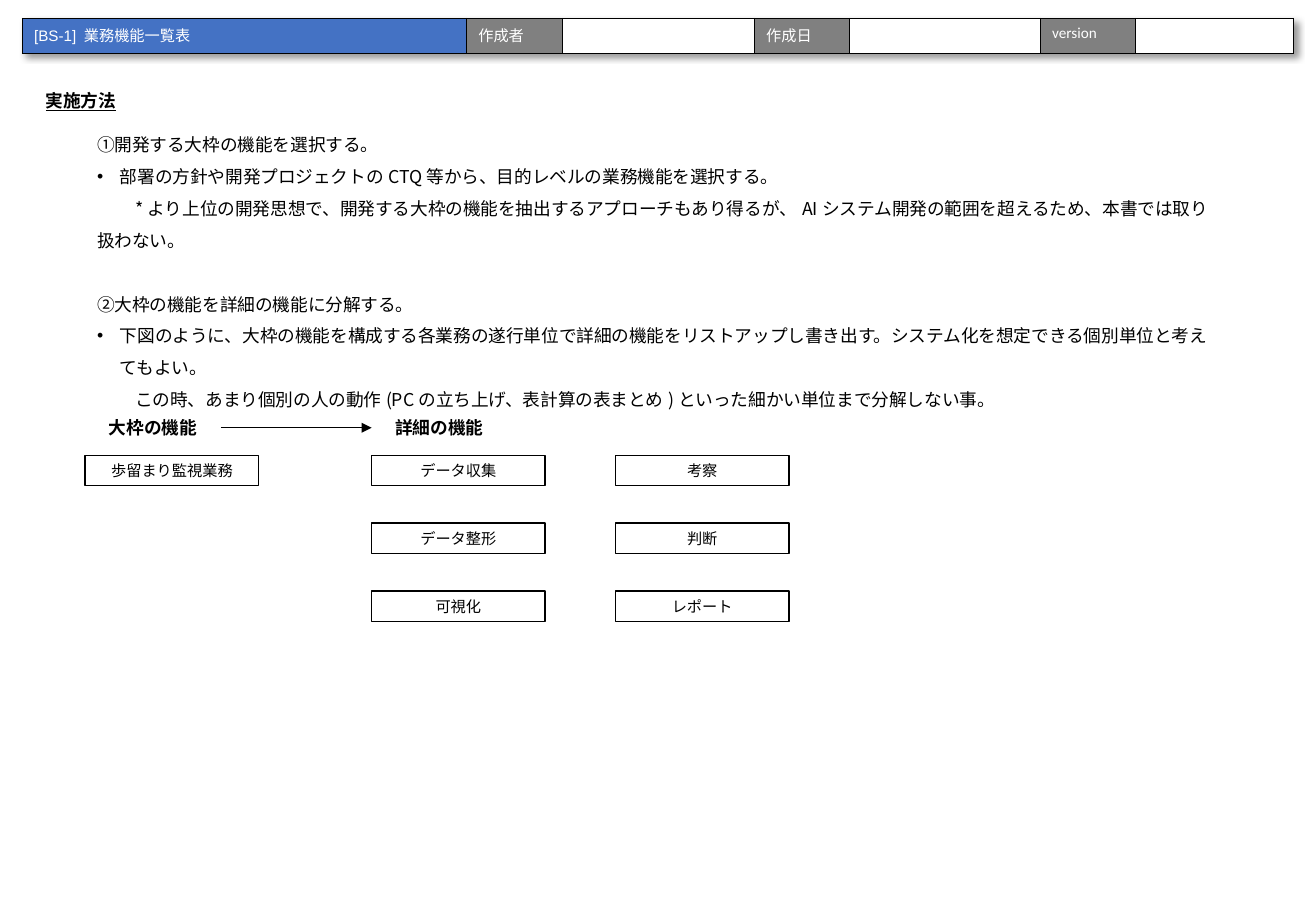
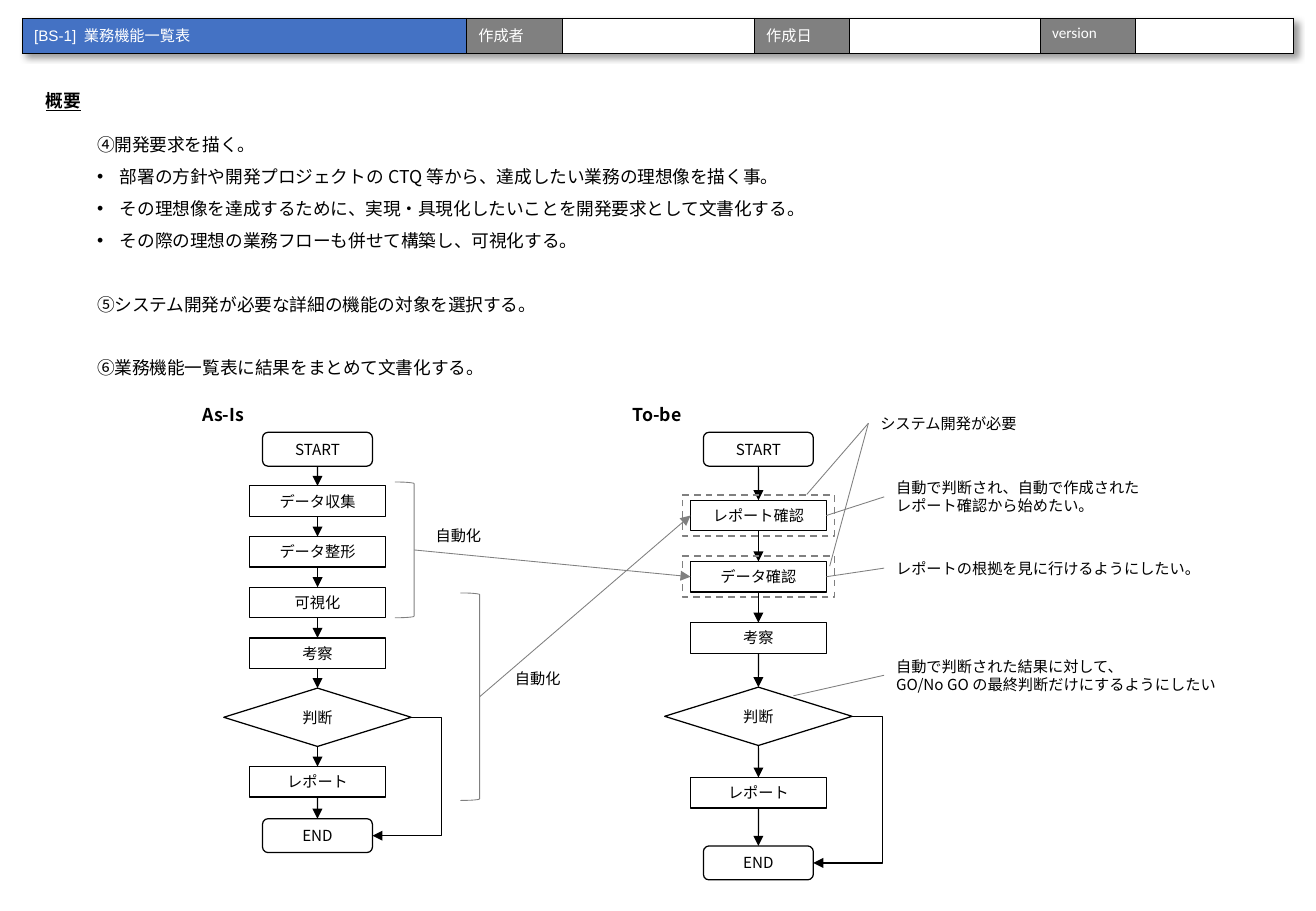
"""Build the two guide slides for the business function list."""
from dataclasses import dataclass
from typing import NamedTuple

from lxml.etree import SubElement
from pptx import Presentation
from pptx.dml.color import RGBColor
from pptx.enum.dml import MSO_LINE as Dash
from pptx.enum.shapes import MSO_CONNECTOR as Wire, MSO_SHAPE as Form
from pptx.enum.text import MSO_ANCHOR as Anchor, PP_ALIGN as Align
from pptx.oxml.ns import qn
from pptx.util import Cm, Pt

FONT = "Noto Sans CJK JP"
BLACK, WHITE, GRAY, BLUE = "000000", "FFFFFF", "808080", "4472C4"
BODY, SMALL = 10.5, 9
BAR_H, BOX_H, HEAD_H = 0.73, 0.64, 0.71
BOX_W, CARD_W = 2.84, 3.63


class Para(NamedTuple):
    text: str
    bullet: bool = False
    indent: float = 0
    gap: float = 0


class Cell(NamedTuple):
    text: str
    width: float
    fill: str
    font: str = "Calibri"


class Join(NamedTuple):
    shape: object
    side: int


class Point(NamedTuple):
    x: float
    y: float


class Kind(NamedTuple):
    form: Form
    width: float
    height: float
    fill: str | None = None


@dataclass
class Step:
    text: str
    top: float
    kind: Kind


@dataclass
class Note:
    text: str
    left: float
    top: float
    width: float
    height: float = BOX_H


RECT = Kind(Form.RECTANGLE, BOX_W, BOX_H)
ROUND = Kind(Form.ROUNDED_RECTANGLE, 2.3, HEAD_H, WHITE)
CHOICE = Kind(Form.FLOWCHART_DECISION, 3.92, 1.22, WHITE)

BAR = [
    Cell("[BS-1] 業務機能一覧表", 9.29, BLUE, "Arial"),
    Cell("作成者", 2.01, GRAY),
    Cell("", 4.01, WHITE),
    Cell("作成日", 1.99, GRAY),
    Cell("", 3.99, WHITE),
    Cell("version", 1.99, GRAY),
    Cell("", 3.31, WHITE),
]
METHOD = [
    Para("①開発する大枠の機能を選択する。"),
    Para("部署の方針や開発プロジェクトのCTQ等から、目的レベルの業務機能を選択する。", bullet=True),
    Para("*より上位の開発思想で、開発する大枠の機能を抽出するアプローチもあり得るが、"
         "AIシステム開発の範囲を超えるため、本書では取り扱わない。", indent=0.8),
    Para("②大枠の機能を詳細の機能に分解する。", gap=18.9),
    Para("下図のように、大枠の機能を構成する各業務の遂行単位で詳細の機能をリストアップし書き出す。"
         "システム化を想定できる個別単位と考えてもよい。", bullet=True),
    Para("この時、あまり個別の人の動作(PCの立ち上げ、表計算の表まとめ)といった"
         "細かい単位まで分解しない事。", indent=0.8),
]
OUTLINE = [
    Para("④開発要求を描く。"),
    Para("部署の方針や開発プロジェクトのCTQ等から、達成したい業務の理想像を描く事。", bullet=True),
    Para("その理想像を達成するために、実現・具現化したいことを開発要求として文書化する。", bullet=True),
    Para("その際の理想の業務フローも併せて構築し、可視化する。", bullet=True),
    Para("⑤システム開発が必要な詳細の機能の対象を選択する。", gap=18.9),
    Para("⑥業務機能一覧表に結果をまとめて文書化する。", gap=18.9),
]
CARDS = [["データ収集", "データ整形", "可視化"], ["考察", "判断", "レポート"]]
AS_IS = [
    Step("START", 9.04, ROUND),
    *(Step(text, 10.16 + 1.06 * row, RECT)
      for row, text in enumerate(["データ収集", "データ整形", "可視化", "考察"])),
    Step("判断", 14.39, CHOICE),
    Step("レポート", 16.03, RECT),
    Step("END", 17.12, ROUND),
]
TO_BE = [
    Step("START", 9.04, ROUND),
    *(Step(text, 10.46 + 1.28 * row, RECT)
      for row, text in enumerate(["レポート確認", "データ確認", "考察"])),
    Step("判断", 14.37, CHOICE),
    Step("レポート", 16.26, RECT),
    Step("END", 17.69, ROUND),
]
AUTO = [Note("自動化", 10.52, 13.87, 2.06), Note("自動化", 8.86, 10.87, 2.06)]
WISHES = [
    Note("自動で判断され、自動で作成された\nレポート確認から始めたい。", 18.49, 9.88, 6.78, 1.02),
    Note("レポートの根拠を見に行けるようにしたい。", 18.49, 11.56, 6.78),
    Note("自動で判断された結果に対して、\nGO/No GOの最終判断だけにするようにしたい", 18.49, 13.61, 7.87, 1.02),
]
NEED = Note("システム開発が必要", 18.16, 8.53, 3.56)


def tint(code: str) -> RGBColor:
    return RGBColor.from_string(code)


def write(frame, text: str | list[Para], *, size: float = SMALL, color: str = BLACK,
          font: str = FONT, bold: bool = False, under: bool = False,
          align: Align = Align.LEFT, pitch: float | None = None) -> None:
    paras = [Para(line) for line in text.split("\n")] if isinstance(text, str) else text
    for index, item in enumerate(paras):
        par = frame.add_paragraph() if index else frame.paragraphs[0]
        par.alignment = align
        if pitch:
            par.line_spacing = Pt(pitch)
        if item.gap:
            par.space_before = Pt(item.gap)
        props = par._p.get_or_add_pPr()
        if item.bullet:
            props.set("marL", str(Cm(0.48)))
            props.set("indent", str(-Cm(0.48)))
            SubElement(props, qn("a:buFont"), typeface="Arial")
            SubElement(props, qn("a:buChar"), char="•")
        elif item.indent:
            props.set("indent", str(Cm(item.indent)))
        if not item.text:
            SubElement(par._p, qn("a:endParaRPr"), sz=str(int(size * 100)))
            continue
        run = par.add_run()
        run.text = item.text
        run.font.size, run.font.name = Pt(size), font
        run.font.bold, run.font.underline = bold, under
        run.font.color.rgb = tint(color)
        SubElement(run._r.get_or_add_rPr(), qn("a:ea"), typeface=FONT)


def label(slide, text: str | list[Para], left: float, top: float, width: float,
          height: float, *, wrap: bool = True, anchor: Anchor = Anchor.MIDDLE, **form):
    box = slide.shapes.add_textbox(Cm(left), Cm(top), Cm(width), Cm(height))
    frame = box.text_frame
    frame.word_wrap, frame.vertical_anchor = wrap, anchor
    if anchor == Anchor.MIDDLE:
        frame.margin_top = frame.margin_bottom = 0
    write(frame, text, **form)
    return box


def memo(slide, note: Note):
    return label(slide, note.text, note.left, note.top, note.width, note.height, pitch=10.8)


def block(slide, kind: Kind, left: float, top: float, text: str = "", *,
          color: str = BLACK, weight: float = 0.75, dash: Dash | None = None):
    shape = slide.shapes.add_shape(kind.form, Cm(left), Cm(top), Cm(kind.width), Cm(kind.height))
    shape.shadow.inherit = False
    if kind.fill:
        shape.fill.solid()
        shape.fill.fore_color.rgb = tint(kind.fill)
    else:
        shape.fill.background()
    shape.line.color.rgb, shape.line.width = tint(color), Pt(weight)
    if dash:
        shape.line.dash_style = dash
    if text:
        frame = shape.text_frame
        frame.margin_top = frame.margin_bottom = 0
        frame.vertical_anchor = Anchor.MIDDLE
        write(frame, text, align=Align.CENTER)
    return shape


def link(slide, start: Join | Point, end: Join | Point, *, color: str = BLACK,
         weight: float = 0.75, tip: bool = True, bend: float | None = None) -> None:
    ends = [Cm(n) for spot in (start, end) for n in (spot if isinstance(spot, Point) else (0, 0))]
    wire = slide.shapes.add_connector(Wire.STRAIGHT if bend is None else Wire.ELBOW, *ends)
    if isinstance(start, Join):
        wire.begin_connect(*start)
    if isinstance(end, Join):
        wire.end_connect(*end)
    wire.line.color.rgb, wire.line.width = tint(color), Pt(weight)
    props = wire._element.spPr
    if tip:
        SubElement(props.find(qn("a:ln")), qn("a:tailEnd"), type="triangle")
    if bend is not None:
        guides = props.find(qn("a:prstGeom")).find(qn("a:avLst"))
        SubElement(guides, qn("a:gd"), name="adj1", fmla=f"val {round(bend * 100000)}")
    SubElement(props, qn("a:effectLst"))


def banner(slide) -> None:
    total = sum(cell.width for cell in BAR)
    table = slide.shapes.add_table(1, len(BAR), Cm(0.46), Cm(0.38), Cm(total), Cm(BAR_H)).table
    table.first_row = table.horz_banding = False
    effect = SubElement(table._tbl.tblPr, qn("a:effectLst"))
    table._tbl.tblPr.insert(0, effect)
    shade = SubElement(effect, qn("a:outerShdw"), blurRad="50800", dist="38100",
                       dir="2700000", algn="tl", rotWithShape="0")
    ink = SubElement(shade, qn("a:prstClr"), val="black")
    SubElement(ink, qn("a:alpha"), val="40000")
    for index, item in enumerate(BAR):
        table.columns[index].width = Cm(item.width)
        cell = table.cell(0, index)
        for side in ("lnL", "lnR", "lnT", "lnB"):
            edge = SubElement(cell._tc.get_or_add_tcPr(), qn(f"a:{side}"), w=str(Pt(0.25)))
            SubElement(SubElement(edge, qn("a:solidFill")), qn("a:srgbClr"), val=BLACK)
        cell.fill.solid()
        cell.fill.fore_color.rgb = tint(item.fill)
        write(cell.text_frame, item.text, color=WHITE, font=item.font)


def page(deck, title: str, width: float, body: list[Para], height: float):
    slide = deck.slides.add_slide(deck.slide_layouts[6])
    banner(slide)
    label(slide, body, 1.78, 2.46, 24, height, anchor=Anchor.TOP, size=BODY, pitch=18.9)
    label(slide, title, 0.71, 1.75, width, HEAD_H, wrap=False, size=BODY, bold=True, under=True)
    return slide


def head(slide, text: str, left: float, top: float):
    return label(slide, text, left, top, BOX_W, HEAD_H, size=BODY, bold=True, align=Align.CENTER)


def flow(slide, steps: list[Step], mid: float) -> list:
    nodes = [block(slide, step.kind, mid - step.kind.width / 2, step.top, step.text)
             for step in steps]
    for upper, lower in zip(nodes, nodes[1:]):
        link(slide, Join(upper, 2), Join(lower, 0))
    link(slide, Join(nodes[-3], 3), Join(nodes[-1], 3), bend=-0.79)
    return nodes


def split(deck) -> None:
    slide = page(deck, "実施方法", 2, METHOD, 4.88)
    heads = [head(slide, text, left, 8.59)
             for text, left in (("大枠の機能", 1.78), ("詳細の機能", 7.77))]
    link(slide, Join(heads[0], 3), Join(heads[1], 1), weight=0.5)
    card = Kind(Form.RECTANGLE, CARD_W, BOX_H)
    block(slide, card, 1.78, 9.52, "歩留まり監視業務")
    for col, texts in enumerate(CARDS):
        for row, text in enumerate(texts):
            block(slide, card, 7.77 + 5.1 * col, 9.52 + 1.42 * row, text)


def compare(deck) -> None:
    slide = page(deck, "概要", 1.27, OUTLINE, 5.54)
    head(slide, "As-Is", 3.25, 8.31)
    head(slide, "To-be", 12.32, 8.31)
    flow(slide, AS_IS, 6.64)
    nodes = flow(slide, TO_BE, 15.86)
    thin = {"color": GRAY, "weight": 0.5}
    for left, top, tall, goal in ((9.63, 12.4, 4.34, nodes[1]), (8.26, 10.08, 2.84, nodes[2])):
        block(slide, Kind(Form.RIGHT_BRACKET, 0.4, tall), left, top, **thin)
        link(slide, Point(left + 0.4, top + tall / 2), Join(goal, 1), **thin)
    for note in AUTO:
        memo(slide, note)
    starts = [Join(nodes[1], 3), Join(nodes[2], 3), Point(16.59, 14.55)]
    for note, start in zip(WISHES, starts):
        link(slide, start, Join(memo(slide, note), 1), tip=False, **thin)
    frame = Kind(Form.FLOWCHART_PROCESS, 3.18, 0.86)
    for step in TO_BE[1:3]:
        block(slide, frame, 14.27, step.top - 0.11, color=GRAY, weight=1, dash=Dash.DASH)
    need = memo(slide, NEED)
    for start in (Point(16.87, 10.34), Point(17.35, 11.84)):
        link(slide, start, Join(need, 1), tip=False, **thin)


def main() -> None:
    deck = Presentation()
    deck.slide_width, deck.slide_height = Cm(27.52), Cm(19.05)
    split(deck)
    compare(deck)
    deck.save("out.pptx")


if __name__ == "__main__":
    main()
